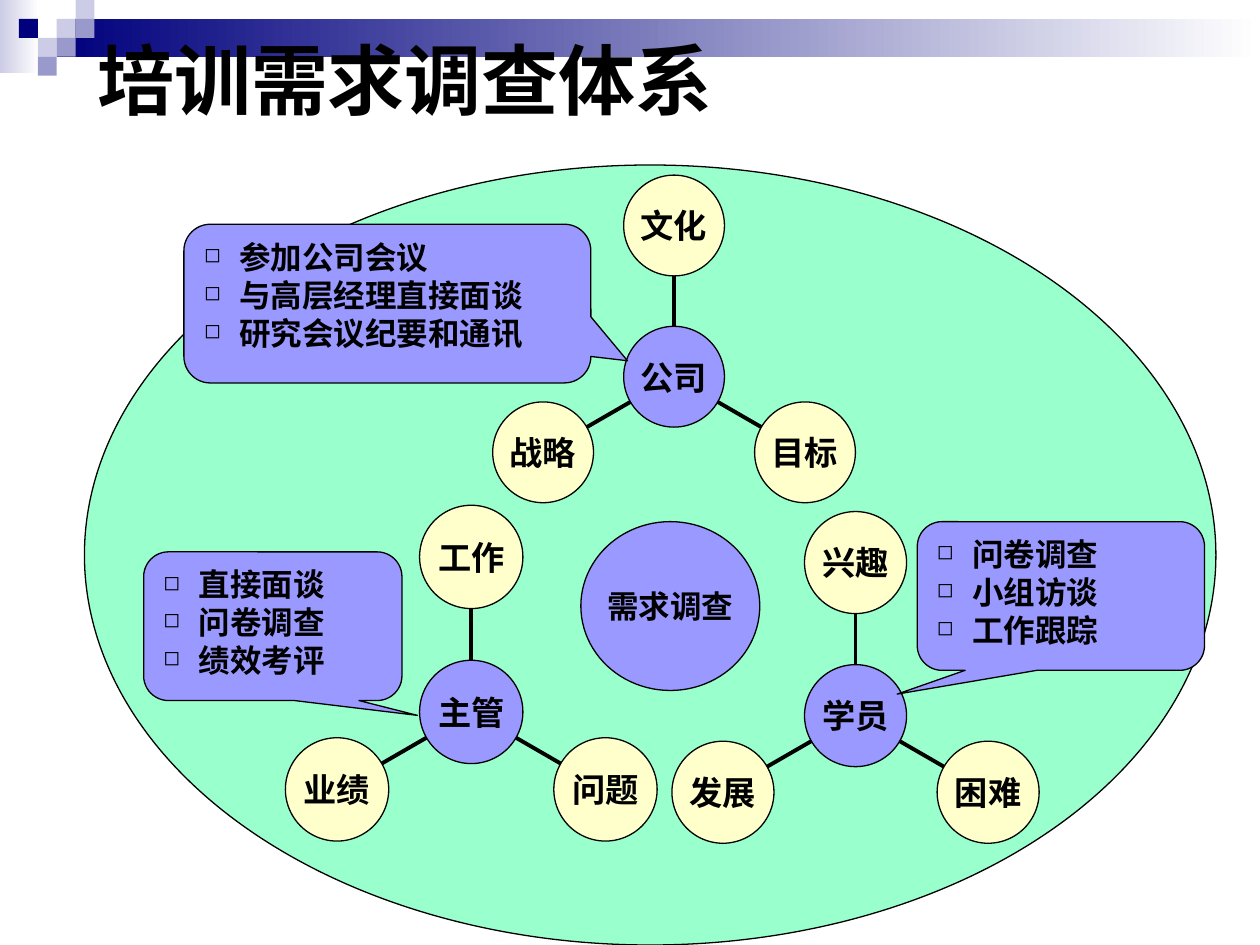
import math
import pptx
import pptx.util
import pptx.dml.color
import pptx.enum.shapes
import pptx.enum.text
import pptx.oxml
import pptx.oxml.ns

Inches = pptx.util.Inches
Pt = pptx.util.Pt
RGBColor = pptx.dml.color.RGBColor
Kind = pptx.enum.shapes.MSO_SHAPE
Align = pptx.enum.text.PP_ALIGN
Anchor = pptx.enum.text.MSO_ANCHOR

BLACK = RGBColor(0x00, 0x00, 0x00)
WHITE = RGBColor(0xFF, 0xFF, 0xFF)
NAVY = RGBColor(0x00, 0x00, 0x7D)
HAZE = RGBColor(0xCC, 0xCC, 0xE6)
STEEL = RGBColor(0x99, 0x99, 0xCC)
MINT = RGBColor(0x99, 0xFF, 0xCC)
CREAM = RGBColor(0xFF, 0xFF, 0xCC)
LILAC = RGBColor(0x99, 0x99, 0xFF)


class Board:
    """Holds the text style and the slide being drawn."""

    def __init__(self, slide, face="Arial"):
        self.slide = slide
        self.shapes = slide.shapes
        self.face = face

    def style(self, para, size, align):
        para.alignment = align
        font = para.font
        font.name, font.size, font.bold = self.face, Pt(size), True
        font.color.rgb = BLACK

    def shape(self, kind, box, fill, edge=True):
        item = self.shapes.add_shape(kind, *map(Inches, box))
        item.shadow.inherit = False
        item.fill.solid()
        item.fill.fore_color.rgb = fill
        if edge:
            item.line.color.rgb = BLACK
            item.line.width = Pt(0.75)
        else:
            item.line.fill.background()
        return item

    def fade(self, box, color):
        item = self.shape(Kind.RECTANGLE, box, color, edge=False)
        item.fill.gradient()
        item.fill.gradient_angle = 180
        for stop, tint in zip(item.fill.gradient_stops, (WHITE, color)):
            stop.color.rgb = tint

    def title(self, text, box):
        item = self.shapes.title
        item.left, item.top, item.width, item.height = map(Inches, box)
        frame = item.text_frame
        frame.text = text
        frame.auto_size = pptx.enum.text.MSO_AUTO_SIZE.NONE
        frame.vertical_anchor = Anchor.MIDDLE
        self.style(frame.paragraphs[0], 44, Align.LEFT)
        tree = item.element.getparent()
        tree.append(item.element)

    def disc(self, x, y, wide, high, fill, text, size=19):
        box = (x - wide / 2, y - high / 2, wide, high)
        frame = self.shape(Kind.OVAL, box, fill).text_frame
        frame.text = text
        frame.word_wrap = False
        frame.vertical_anchor = Anchor.MIDDLE
        self.style(frame.paragraphs[0], size, Align.CENTER)

    def line(self, start, end):
        item = self.shapes.add_connector(
            pptx.enum.shapes.MSO_CONNECTOR.STRAIGHT, *map(Inches, start + end))
        item.line.color.rgb = BLACK
        item.line.width = Pt(2.25)
        props = item.element.spPr
        props.append(pptx.oxml.parse_xml(
            f'<a:effectLst {pptx.oxml.ns.nsdecls("a")}/>'))

    def trio(self, x, y, size, hub, leaves):
        for angle, leaf in zip((150, 30, 270), leaves):
            turn = math.radians(angle)
            near, far, mid = [
                (x + size * k * math.cos(turn), y + size * k * math.sin(turn))
                for k in (0.5, 1, 1.5)]
            self.line(near, far)
            self.disc(*mid, size, size, CREAM, leaf)
        self.disc(x, y, size, size, LILAC, hub)

    def bullet(self, para):
        props = para._p.get_or_add_pPr()
        props.set("marL", str(Inches(0.28)))
        props.set("indent", str(-Inches(0.28)))
        space = pptx.oxml.ns.nsdecls("a")
        for mark in (f'<a:buClr {space}><a:srgbClr val="{BLACK}"/></a:buClr>',
                     f'<a:buSzPct {space} val="65000"/>',
                     f'<a:buChar {space} char="◻"/>'):
            props.append(pptx.oxml.parse_xml(mark))

    def callout(self, box, tip, lines):
        item = self.shape(Kind.ROUNDED_RECTANGULAR_CALLOUT, box, LILAC)
        item.adjustments[0], item.adjustments[1] = tip
        frame = item.text_frame
        frame.text = "\n".join(lines)
        frame.word_wrap = True
        frame.vertical_anchor = Anchor.TOP
        for para in frame.paragraphs:
            self.bullet(para)
            self.style(para, 18, Align.LEFT)


def main():
    deck = pptx.Presentation()
    deck.slide_width, deck.slide_height = Inches(10), Inches(7.5)
    board = Board(deck.slides.add_slide(deck.slide_layouts[5]))

    board.fade((0, 0, 0.31, 0.58), HAZE)
    board.fade((0.45, 0.15, 9.55, 0.3), NAVY)
    unit = 0.15
    for col, row, color in ((3, 1, HAZE), (4, 0, HAZE), (4, 1, STEEL),
                            (2, 2, HAZE), (1, 1, NAVY), (3, 2, STEEL),
                            (2, 3, STEEL)):
        board.shape(Kind.RECTANGLE, (col * unit, row * unit, unit, unit),
                    color, edge=False)

    board.shape(Kind.OVAL, (0.67, 1.31, 8.98, 6.19), MINT)
    board.title("培训需求调查体系", (0.67, 0, 9, 1.25))

    board.trio(5.35, 2.99, 0.8, "公司", ("战略", "目标", "文化"))
    board.trio(3.74, 5.65, 0.82, "主管", ("业绩", "问题", "工作"))
    board.trio(6.79, 5.68, 0.81, "学员", ("发展", "困难", "兴趣"))
    board.disc(5.32, 4.81, 1.42, 1.34, LILAC, "需求调查", 18)

    board.callout((1.46, 1.78, 3.23, 1.26), (0.59, 0.36),
                  ("参加公司会议", "与高层经理直接面谈", "研究会议纪要和通讯"))
    board.callout((7.28, 4.14, 2.28, 1.18), (-0.57, 0.66),
                  ("问卷调查", "小组访谈", "工作跟踪"))
    board.callout((1.14, 4.38, 2.05, 1.18), (0.56, 0.6),
                  ("直接面谈", "问卷调查", "绩效考评"))

    deck.save("out.pptx")


if __name__ == "__main__":
    main()
